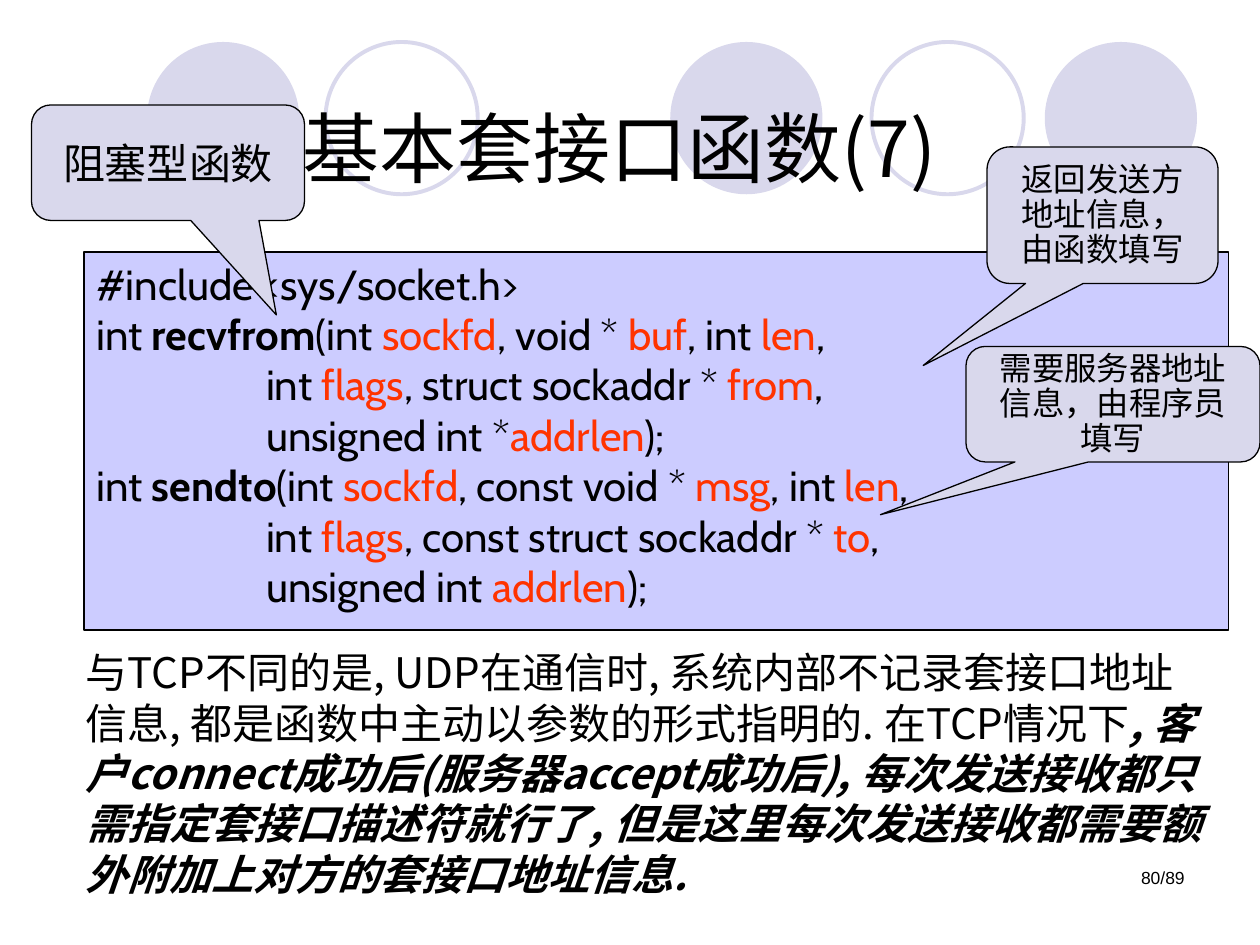
"""Build the slide on the recvfrom and sendto socket functions."""
from dataclasses import dataclass
from typing import NamedTuple

from lxml import etree
from pptx import Presentation
from pptx.dml.color import RGBColor
from pptx.enum.shapes import MSO_SHAPE
from pptx.enum.text import MSO_ANCHOR, PP_ALIGN
from pptx.oxml.ns import qn
from pptx.util import Pt

OVAL = MSO_SHAPE.OVAL
RECTANGLE = MSO_SHAPE.RECTANGLE
CALLOUT = MSO_SHAPE.ROUNDED_RECTANGULAR_CALLOUT
LEFT, CENTER, RIGHT = PP_ALIGN.LEFT, PP_ALIGN.CENTER, PP_ALIGN.RIGHT
TOP, MIDDLE, BOTTOM = MSO_ANCHOR.TOP, MSO_ANCHOR.MIDDLE, MSO_ANCHOR.BOTTOM


@dataclass(frozen=True)
class Theme:
    """Colours, fonts and sizes of the slide."""
    ink: str = "000000"
    argument: str = "FF3300"
    lavender: str = "D9D8EC"
    code_fill: str = "CCCCFF"
    cjk_font: str = "Noto Sans CJK JP"
    code_font: str = "Cabin"
    page_font: str = "Arial"
    title_size: float = 44
    body_size: float = 24
    note_size: float = 18.5
    page_size: float = 10
    outline: float = 0.75
    ring: float = 2.25
    leading: float = 1.2
    tight_leading: float = 1.08
    code_indent: float = 97


THEME = Theme()


class Box(NamedTuple):
    """Left, top, width and height in points."""
    left: float
    top: float
    width: float
    height: float

    def lengths(self) -> list:
        """Return the four values as lengths."""
        return [Pt(value) for value in self]


class Span(NamedTuple):
    """A stretch of text in one style."""
    text: str
    color: str = THEME.ink
    bold: bool = False
    italic: bool = False


class Line(NamedTuple):
    """A paragraph of spans with its left indent."""
    spans: list
    indent: float = 0


class Circle(NamedTuple):
    """A decorative circle, either filled or a ring."""
    left: float
    filled: bool


class Callout(NamedTuple):
    """A speech bubble with the place its tip points to."""
    text: str
    box: Box
    tip: tuple
    size: float
    leading: float


def arg(text: str) -> Span:
    """Return an argument name."""
    return Span(text, THEME.argument)


def func(text: str) -> Span:
    """Return a function name."""
    return Span(text, bold=True)


def plain(text: str) -> Line:
    """Return a line of unstyled text."""
    return Line([Span(text)])


CIRCLE_TOP, CIRCLE_SIZE = 24, 87
CIRCLES = [Circle(84, True), Circle(186, False), Circle(383, True),
           Circle(498, False), Circle(597, True)]

CODE = [
    plain("#include <sys/socket.h>"),
    Line([Span("int "), func("recvfrom"), Span("(int "), arg("sockfd"), Span(", void * "),
          arg("buf"), Span(", int "), arg("len"), Span(",")]),
    Line([Span("int "), arg("flags"), Span(", struct sockaddr * "), arg("from"), Span(",")],
         THEME.code_indent),
    Line([Span("unsigned int *"), arg("addrlen"), Span(");")], THEME.code_indent),
    Line([Span("int "), func("sendto"), Span("(int "), arg("sockfd"), Span(", const void * "),
          arg("msg"), Span(", int "), arg("len"), Span(",")]),
    Line([Span("int "), arg("flags"), Span(", const struct sockaddr * "), arg("to"), Span(",")],
         THEME.code_indent),
    Line([Span("unsigned int "), arg("addrlen"), Span(");")], THEME.code_indent),
]

EXPLANATION = [Line([
    Span("与TCP不同的是, UDP在通信时, 系统内部不记录套接口地址信息, "
         "都是函数中主动以参数的形式指明的. 在TCP情况下"),
    Span(", 客户connect成功后(服务器accept成功后), 每次发送接收都只需指定套接口描述符就行了, "
         "但是这里每次发送接收都需要额外附加上对方的套接口地址信息.", bold=True, italic=True),
])]

CALLOUTS = [
    Callout("阻塞型函数", Box(18, 60, 156, 66), (0.397, 1.318),
            THEME.body_size, THEME.leading),
    Callout("需要服务器地址信息，由程序员填写", Box(552, 198, 168, 66), (-0.791, 0.957),
            THEME.note_size, THEME.tight_leading),
    Callout("返回发送方地址信息，由函数填写", Box(564, 84, 132, 78), (-0.776, 1.101),
            THEME.note_size, THEME.tight_leading),
]


def write_text(shape, lines: list, *, size: float, font: str = THEME.cjk_font,
               align=LEFT, anchor=TOP, leading: float = THEME.leading,
               wrap: bool = True) -> None:
    """Fill a shape with formatted lines."""
    frame = shape.text_frame
    frame.word_wrap = wrap
    frame.vertical_anchor = anchor
    for index, line in enumerate(lines):
        paragraph = frame.add_paragraph() if index else frame.paragraphs[0]
        paragraph.alignment = align
        paragraph.line_spacing = Pt(size * leading)
        if line.indent:
            properties = paragraph._p.get_or_add_pPr()
            properties.set("marL", str(Pt(line.indent)))
            properties.set("indent", "0")
        for span in line.spans:
            run = paragraph.add_run()
            run.text = span.text
            run.font.size = Pt(size)
            run.font.name = font
            run.font.bold = span.bold
            run.font.italic = span.italic
            run.font.color.rgb = RGBColor.from_string(span.color)
            etree.SubElement(run._r.get_or_add_rPr(), qn("a:ea"), typeface=font)


def draw_shape(slide, kind, box: Box, *, fill: str = "", line: str = "",
               width: float = THEME.outline):
    """Add a preset shape, with fill and outline where given."""
    shape = slide.shapes.add_shape(kind, *box.lengths())
    shape.shadow.inherit = False
    if fill:
        shape.fill.solid()
        shape.fill.fore_color.rgb = RGBColor.from_string(fill)
    else:
        shape.fill.background()
    if line:
        shape.line.color.rgb = RGBColor.from_string(line)
        shape.line.width = Pt(width)
    else:
        shape.line.fill.background()
    return shape


def draw_circle(slide, circle: Circle) -> None:
    """Draw one circle of the top band."""
    box = Box(circle.left, CIRCLE_TOP, CIRCLE_SIZE, CIRCLE_SIZE)
    style = {"fill": THEME.lavender} if circle.filled else {"line": THEME.lavender}
    draw_shape(slide, OVAL, box, width=THEME.ring, **style)


def draw_callout(slide, callout: Callout) -> None:
    """Draw one speech bubble."""
    bubble = draw_shape(slide, CALLOUT, callout.box, fill=THEME.lavender, line=THEME.ink)
    for index, value in enumerate((*callout.tip, 0.167)):
        bubble.adjustments[index] = value
    write_text(bubble, [plain(callout.text)], size=callout.size, align=CENTER,
               anchor=MIDDLE, leading=callout.leading)


def main() -> None:
    """Build and save the slide."""
    deck = Presentation()
    deck.slide_width, deck.slide_height = Pt(720), Pt(540)
    slide = deck.slides.add_slide(deck.slide_layouts[6])
    for circle in CIRCLES:
        draw_circle(slide, circle)
    title = slide.shapes.add_textbox(*Box(48, 24, 612, 90).lengths())
    write_text(title, [plain("基本套接口函数(7)")], size=THEME.title_size,
               align=CENTER, anchor=BOTTOM)
    listing = draw_shape(slide, RECTANGLE, Box(48, 144, 654, 216),
                         fill=THEME.code_fill, line=THEME.ink)
    write_text(listing, CODE, size=THEME.body_size, font=THEME.code_font, wrap=False)
    explanation = slide.shapes.add_textbox(*Box(42, 366, 654, 151).lengths())
    write_text(explanation, EXPLANATION, size=THEME.body_size)
    for callout in CALLOUTS:
        draw_callout(slide, callout)
    page = slide.shapes.add_textbox(*Box(516, 492, 168, 36).lengths())
    write_text(page, [plain("80/89")], size=THEME.page_size, font=THEME.page_font, align=RIGHT)
    deck.save("out.pptx")


if __name__ == "__main__":
    main()
